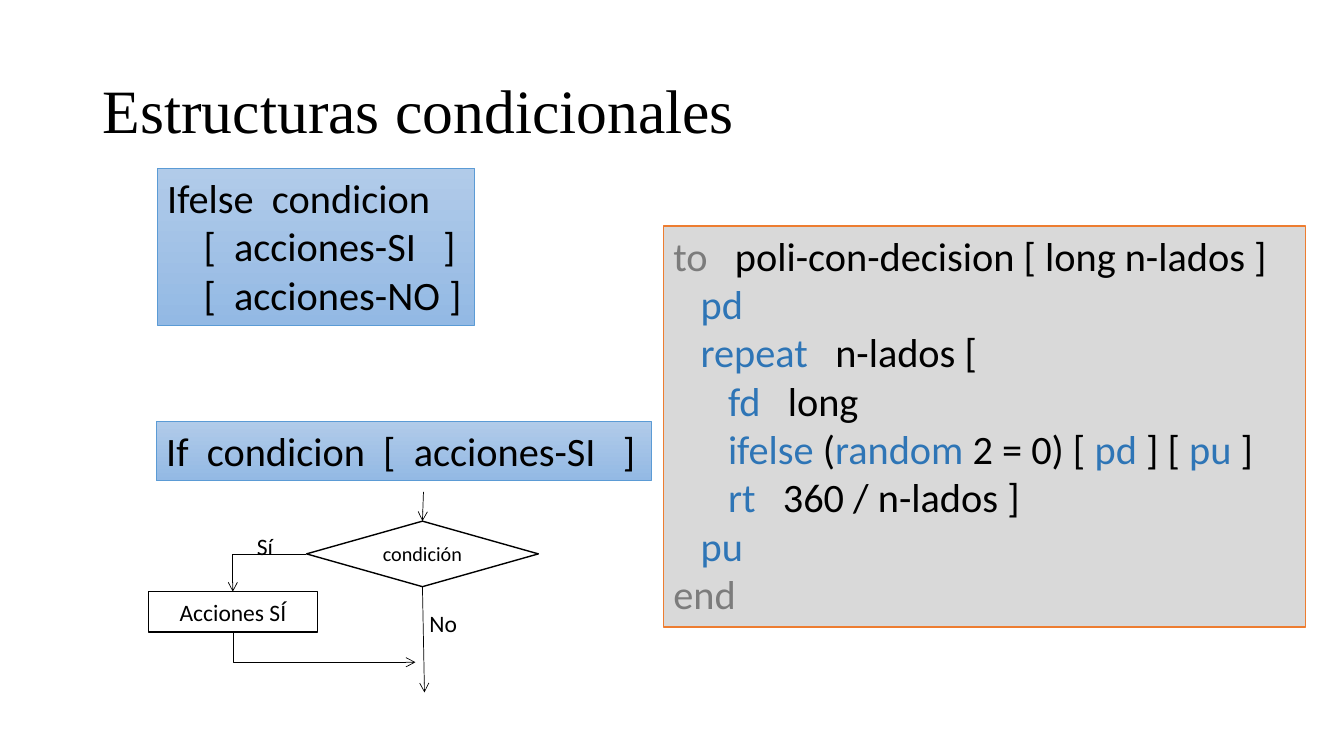
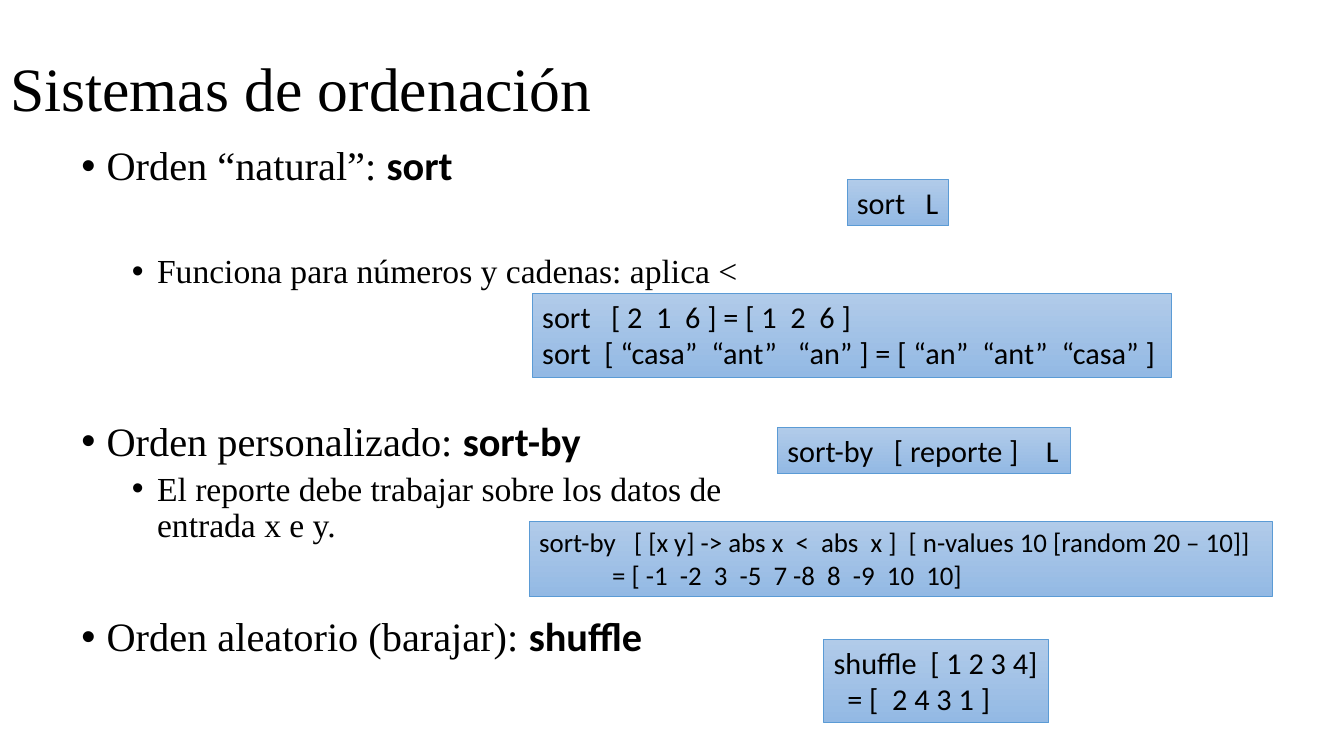
import pptx
import pptx.dml.color
import pptx.enum.dml
import pptx.enum.shapes
import pptx.enum.text
import pptx.oxml.ns
import pptx.util
from lxml import etree
from pptx.util import Inches

SHAPES = pptx.enum.shapes.MSO_SHAPE
CONNECTORS = pptx.enum.shapes.MSO_CONNECTOR
ANCHOR = pptx.enum.text.MSO_ANCHOR
ALIGN = pptx.enum.text.PP_ALIGN
AUTOSIZE = pptx.enum.text.MSO_AUTO_SIZE

BLACK, WHITE = "000000", "FFFFFF"
GRAY, KEYWORD = "7C7C7C", "2E75B6"
SERIF, SANS = "Times New Roman", "Calibri"


def rgb(color):
    """Turn a hex string into a colour."""
    return pptx.dml.color.RGBColor.from_string(color)


def add_element(parent, tag, **attributes):
    """Append a drawing element with the given attributes."""
    return etree.SubElement(parent, pptx.oxml.ns.qn(tag), attributes)


def write_para(para, text, font=SANS, size=28.8, color=BLACK, align=ALIGN.LEFT,
               spacing=None, before=0, level=None, accent=None):
    """Write one paragraph; parts between bars take the accent format."""
    para.alignment = align
    para.space_before = pptx.util.Pt(before)
    if spacing:
        para.line_spacing = spacing
    if level is not None:
        para.level = level
        props = para._p.get_or_add_pPr()
        props.set("marL", str(Inches(0.25 + 0.5 * level)))
        props.set("indent", str(Inches(-0.25)))
        add_element(props, "a:buFont", typeface="Arial")
        add_element(props, "a:buChar", char="•")
    for number, part in enumerate(text.split("|")):
        if not part:
            continue
        look = {"font": font, "color": color, "bold": False}
        if number % 2:
            look.update(accent)
        span = para.add_run()
        span.text = part
        span.font.name = look["font"]
        span.font.size = pptx.util.Pt(size)
        span.font.bold = look["bold"]
        span.font.color.rgb = rgb(look["color"])


def write_frame(frame, lines, anchor=ANCHOR.TOP, wrap=True, grow=False, **style):
    """Fill a text frame; a line is a text or a text with its own format."""
    frame.word_wrap = wrap
    frame.auto_size = AUTOSIZE.SHAPE_TO_FIT_TEXT if grow else AUTOSIZE.NONE
    frame.vertical_anchor = anchor
    for number, line in enumerate(lines):
        text, own = (line, {}) if isinstance(line, str) else line
        para = frame.add_paragraph() if number else frame.paragraphs[0]
        write_para(para, text, **{**style, **own})


class Slides:
    """The deck, its style and the current slide."""

    def __init__(self):
        """Start an empty wide deck."""
        self.deck = pptx.Presentation()
        self.deck.slide_width = Inches(13.33)
        self.deck.slide_height = Inches(7.5)
        self.page = None

    def add_page(self, title, left, top, width, height):
        """Start a slide with its title."""
        self.page = self.deck.slides.add_slide(self.deck.slide_layouts[5])
        box = self.page.shapes.title
        box.left, box.top = Inches(left), Inches(top)
        box.width, box.height = Inches(width), Inches(height)
        write_frame(box.text_frame, [title], anchor=ANCHOR.MIDDLE,
                    font=SERIF, size=44, spacing=0.9)

    def add_text(self, lines, left, top, width, height, **style):
        """Add a plain text box."""
        box = self.page.shapes.add_textbox(
            Inches(left), Inches(top), Inches(width), Inches(height))
        write_frame(box.text_frame, lines, **style)

    def add_box(self, lines, left, top, width, height, kind=SHAPES.RECTANGLE,
                fill=WHITE, line=BLACK, line_width=1, **style):
        """Add an outlined shape with text; a pair of fills is a gradient."""
        box = self.page.shapes.add_shape(
            kind, Inches(left), Inches(top), Inches(width), Inches(height))
        box.shadow.inherit = False
        if isinstance(fill, str):
            box.fill.solid()
            box.fill.fore_color.rgb = rgb(fill)
        else:
            box.fill.gradient()
            box.fill.gradient_angle = 270
            for stop, color in zip(box.fill.gradient_stops, fill):
                stop.color.rgb = rgb(color)
        box.line.color.rgb = rgb(line)
        box.line.width = pptx.util.Pt(line_width)
        write_frame(box.text_frame, lines, **style)
        return box

    def add_syntax(self, lines, left, top, width, height, size=21.6):
        """Add a blue box with a piece of syntax."""
        self.add_box(lines, left, top, width, height, fill=("B1CBE9", "93B9E4"),
                     line="5B9BD5", line_width=0.5, size=size, wrap=False, grow=True)

    def add_step(self, text, left, top, width, height, kind, size):
        """Add a step of a flow chart."""
        return self.add_box([text], left, top, width, height, kind=kind, size=size,
                            anchor=ANCHOR.MIDDLE, align=ALIGN.CENTER)

    def add_arrow(self, start, end, source=None, target=None, bend=None):
        """Add an arrow, straight or bent once; bend is its first direction."""
        kind = CONNECTORS.ELBOW if bend else CONNECTORS.STRAIGHT
        arrow = self.page.shapes.add_connector(
            kind, *(Inches(length) for length in start + end))
        if source:
            arrow.begin_connect(*source)
        if target:
            arrow.end_connect(*target)
        arrow.line.color.rgb = rgb(BLACK)
        arrow.line.width = pptx.util.Pt(0.5)
        props = arrow.element.spPr
        add_element(arrow.line._get_or_add_ln(), "a:tailEnd", type="arrow")
        add_element(props, "a:effectLst")
        if bend:
            props.find(pptx.oxml.ns.qn("a:prstGeom")).set("prst", "bentConnector2")
        if bend == "down":
            width, height = arrow.width, arrow.height
            arrow.left += (width - height) // 2
            arrow.top += (height - width) // 2
            arrow.width, arrow.height = height, width
            frame = props.find(pptx.oxml.ns.qn("a:xfrm"))
            frame.set("rot", str(270 * 60000))
            frame.set("flipH", "1")


def build_conditionals(slides):
    """Build the slide on conditional structures."""
    slides.add_page("Estructuras condicionales", 0.92, 0.4, 11.5, 1.45)
    slides.add_syntax(
        ["Ifelse  condicion", "    [  acciones-SI   ]", "    [  acciones-NO ]"],
        1.56, 1.67, 3.15, 1.56, size=28.8)
    gray = {"accent": {"color": GRAY}}
    procedure = [
        ("|to|   poli-con-decision [ long n-lados ]", gray),
        "   |pd|",
        "   |repeat|   n-lados [",
        "      |fd|   long",
        "      |ifelse| (|random| 2 = 0) [ |pd| ] [ |pu| ]",
        "      |rt|   360 / n-lados ]",
        "   |pu|",
        ("|end|", gray),
    ]
    slides.add_box(procedure, 6.58, 2.24, 6.37, 3.98, fill="D9D9D9", line="ED7D31",
                   grow=True, accent={"color": KEYWORD})
    slides.add_syntax(["If  condicion  [  acciones-SI   ]"],
                      1.55, 4.18, 4.91, 0.59, size=28.8)

    decision = slides.add_step("condición", 3.04, 5.17, 2.3, 0.65,
                               SHAPES.FLOWCHART_DECISION, 14.4)
    action = slides.add_step("Acciones SÍ", 1.47, 5.87, 1.68, 0.4,
                             SHAPES.FLOWCHART_PROCESS, 16.8)
    slides.add_arrow((3.04, 5.49), (2.31, 5.87), (decision, 1), (action, 0), "left")
    slides.add_arrow((2.31, 6.27), (4.12, 6.57), (action, 2), bend="down")
    slides.add_arrow((4.19, 5.82), (4.21, 6.87), source=(decision, 2))
    slides.add_arrow((4.2, 4.88), (4.19, 5.17), target=(decision, 0))
    for label, left, top, width in [("Sí", 2.45, 5.23, 0.36), ("No", 4.16, 5.99, 0.48)]:
        slides.add_text([label], left, top, width, 0.38, size=16.8,
                        wrap=False, grow=True)


def build_sorting(slides):
    """Build the slide on ways of sorting."""
    slides.add_page("Sistemas de ordenación", 0, 0.51, 10.8, 0.8)
    detail = {"level": 1, "size": 24}
    points = [
        "Orden “natural”: |sort|",
        ("Funciona para números y cadenas: aplica <", {**detail, "before": 46.6}),
        ("Orden personalizado: |sort-by|", {"before": 93.2}),
        ("El reporte debe trabajar sobre los datos de entrada x e y.",
         {**detail, "before": 5}),
        ("Orden aleatorio (barajar): |shuffle|", {"before": 51.6}),
    ]
    slides.add_text(points, 0.71, 1.4, 6.9, 6, font=SERIF, level=0, spacing=0.9,
                    accent={"font": SANS, "bold": True})
    slides.add_syntax(["sort   L"], 8.4, 1.78, 1.01, 0.46)
    slides.add_syntax(
        ["sort   [ 2  1  6 ] = [ 1  2  6 ]",
         "sort  [ “casa”  “ant”   “an” ] = [ “an”  “ant”  “casa” ]"],
        5.28, 2.91, 6.34, 0.83)
    slides.add_syntax(["sort-by   [ reporte ]    L"], 7.71, 4.24, 2.91, 0.46)
    slides.add_syntax(
        ["sort-by   [ [x y] -> abs x  <  abs  x ]  [ n-values 10 [random 20 – 10]]",
         "            = [ -1  -2  3  -5  7 -8  8  -9  10  10]"],
        5.25, 5.17, 7.37, 0.75, size=19.2)
    slides.add_syntax(["shuffle  [ 1 2 3 4]", "  = [  2 4 3 1 ]"],
                      8.17, 6.34, 2.23, 0.83)


def main():
    """Build and save the deck."""
    slides = Slides()
    build_conditionals(slides)
    build_sorting(slides)
    slides.deck.save("out.pptx")


if __name__ == "__main__":
    main()
